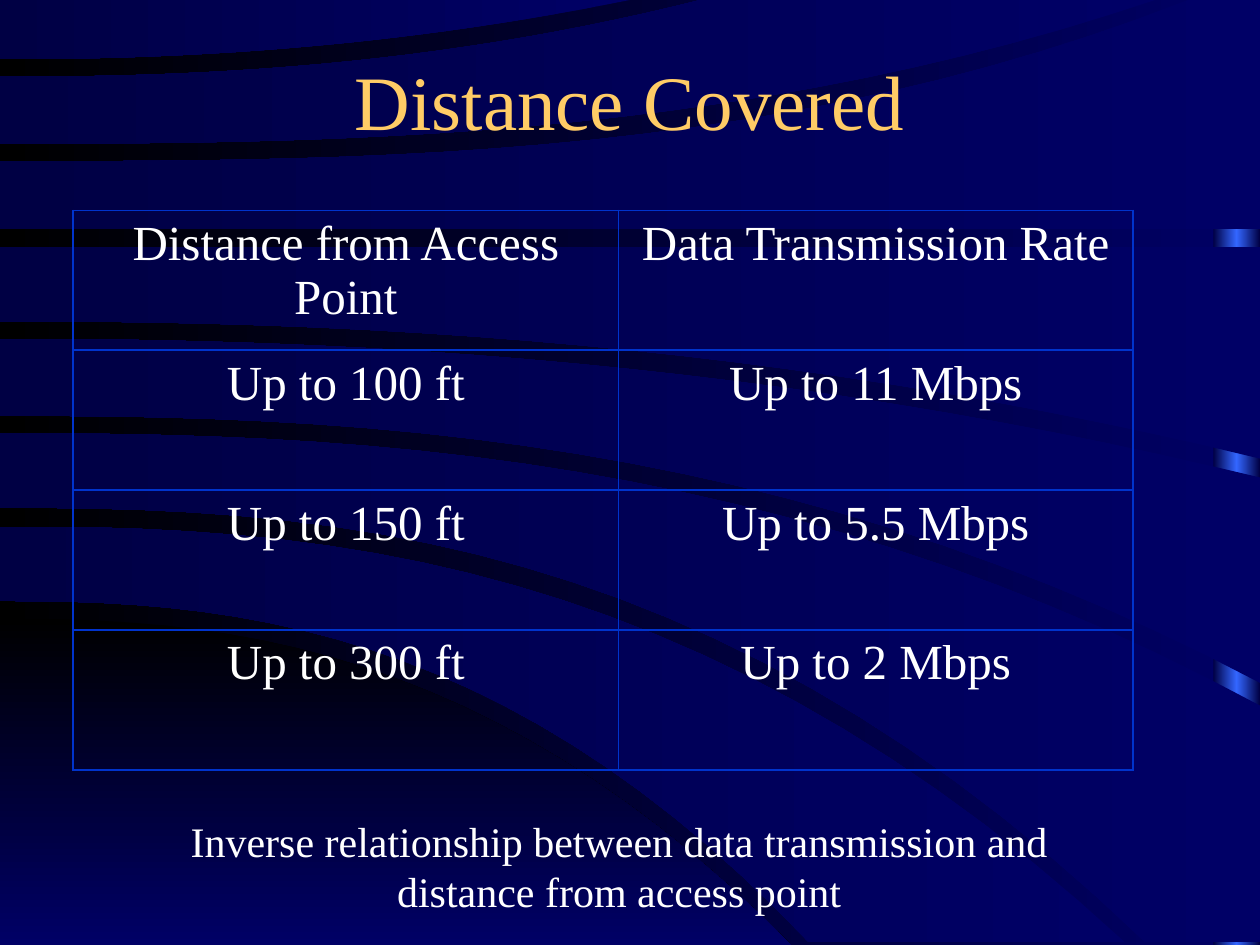
"""Build the Distance Covered slide: a rate table over sweeping blue bands."""
from copy import deepcopy

from lxml import etree
from pptx import Presentation
from pptx import util as u
from pptx.dml.color import RGBColor
from pptx.enum import shapes, text
from pptx.oxml.ns import qn

TITLE = "Distance Covered"
ROWS = [
    ("Distance from Access Point", "Data Transmission Rate"),
    ("Up to 100 ft", "Up to 11 Mbps"),
    ("Up to 150 ft", "Up to 5.5 Mbps"),
    ("Up to 300 ft", "Up to 2 Mbps"),
]
NOTE = "Inverse relationship between data transmission and distance from access point"
W, H = 10, 7.5
FONT = "Times New Roman"
BLUE, NAVY, BLACK, BRIGHT = "000066", "000044", "000000", "3366FF"
GOLD, WHITE, RULE = "FFCC66", "FFFFFF", "0033CC"
COLS, ROW_H = (4.33, 4.08), 1.11
STEPS = 24
FLOOR = 7.48

# Each edge: height at the left side, end x, end y, power of the curve.
HILL = ((4.91, 6.28, H, 2.45), (H, 6.28, H, 1))
BANDS = [
    ((4.18, 8.93, FLOOR, 2.5), (4.77, 6.42, FLOOR, 2.5)),
    ((3.44, W, 5.6, 2.5), (4.03, 9.09, FLOOR, 2.55)),
    ((2.69, W, 3.79, 2.2), (3.3, W, 5.42, 2.5)),
    ((1.96, W, 1.96, 1), (2.55, W, 3.64, 2.25)),
    ((1.28, 9.43, 0, 2.9), (1.82, W, 1.82, 1)),
    ((0.61, 5.56, 0, 2.3), (1.14, 9.17, 0, 2.7)),
    ((0, 5, 0, 1), (0.47, 5, 0, 2.15)),
]


def colour(value):
    return RGBColor.from_string(value)


def paint(owner, fill, angle, colours):
    fill.gradient()
    fill.gradient_angle = angle
    stops = owner.find(".//" + qn("a:gsLst"))
    for _ in colours[2:]:
        stops.append(deepcopy(stops[0]))
    for i, (stop, value) in enumerate(zip(fill.gradient_stops, colours)):
        stop.position = i / (len(colours) - 1)
        stop.color.rgb = colour(value)


def finish(sp, angle, colours):
    paint(sp.element, sp.fill, angle, colours)
    sp.line.fill.background()
    sp.shadow.inherit = False


def curve(start, end_x, end_y, power):
    shares = [i / STEPS for i in range(STEPS + 1)]
    return [(end_x * t, start + (end_y - start) * t ** power) for t in shares]


def sweep(s, edges, angle, colours):
    top, bottom = (curve(*edge) for edge in edges)
    near, far = sorted((top[-1], bottom[-1]))
    outline = top + [(far[0], near[1])] + bottom[::-1]
    pts = [(u.Inches(x), u.Inches(y)) for x, y in outline]
    builder = s.shapes.build_freeform(*pts[0])
    builder.add_line_segments(pts[1:], close=True)
    finish(builder.convert_to_shape(), angle, colours)


def write(tf, words, size, value, before=0):
    tf.text = words
    tf.word_wrap = True
    p = tf.paragraphs[0]
    p.alignment = text.PP_ALIGN.CENTER
    p.space_before = u.Pt(before)
    font = p.runs[0].font
    font.name, font.size, font.bold = FONT, u.Pt(size), False
    font.color.rgb = colour(value)


def border(cell):
    tc_pr = cell._tc.get_or_add_tcPr()
    for i, side in enumerate("LRTB"):
        ln = etree.Element(qn("a:ln" + side), w=str(u.Pt(1.08)))
        solid = etree.SubElement(ln, qn("a:solidFill"))
        etree.SubElement(solid, qn("a:srgbClr"), val=RULE)
        tc_pr.insert(i, ln)


def add_rates(s):
    size = (0.58, 1.67, sum(COLS), ROW_H * len(ROWS))
    table = s.shapes.add_table(len(ROWS), len(COLS), *map(u.Inches, size)).table
    table.first_row = table.horz_banding = False
    for col, width in zip(table.columns, COLS):
        col.width = u.Inches(width)
    for row, words in zip(table.rows, ROWS):
        row.height = u.Inches(ROW_H)
        for cell, word in zip(row.cells, words):
            write(cell.text_frame, word, 28, WHITE, 7)
            cell.fill.background()
            border(cell)


def main():
    prs = Presentation()
    prs.slide_width, prs.slide_height = u.Inches(W), u.Inches(H)
    s = prs.slides.add_slide(prs.slide_layouts[5])
    paint(s.element, s.background.fill, 180, (BLUE, BLACK))

    strip = s.shapes.add_shape(shapes.MSO_SHAPE.RECTANGLE,
                               *map(u.Inches, (W - 0.37, 0, 0.37, H)))
    finish(strip, 180, (NAVY, BRIGHT, NAVY))
    sweep(s, HILL, 270, (BLACK, BLUE))
    for edges in BANDS:
        sweep(s, edges, 180, (BLUE, NAVY))

    title = s.shapes.title
    title.left, title.top, title.width, title.height = map(u.Inches, (0.75, 0.17, 8.5, 1.25))
    write(title.text_frame, TITLE, 44, GOLD)
    title.text_frame.vertical_anchor = text.MSO_ANCHOR.MIDDLE
    s.shapes._spTree.append(title.element)

    add_rates(s)
    note = s.shapes.add_textbox(*map(u.Inches, (1.25, 6.42, 7.33, 0.9)))
    write(note.text_frame, NOTE, 24, WHITE, 15)
    prs.save("out.pptx")


if __name__ == "__main__":
    main()
